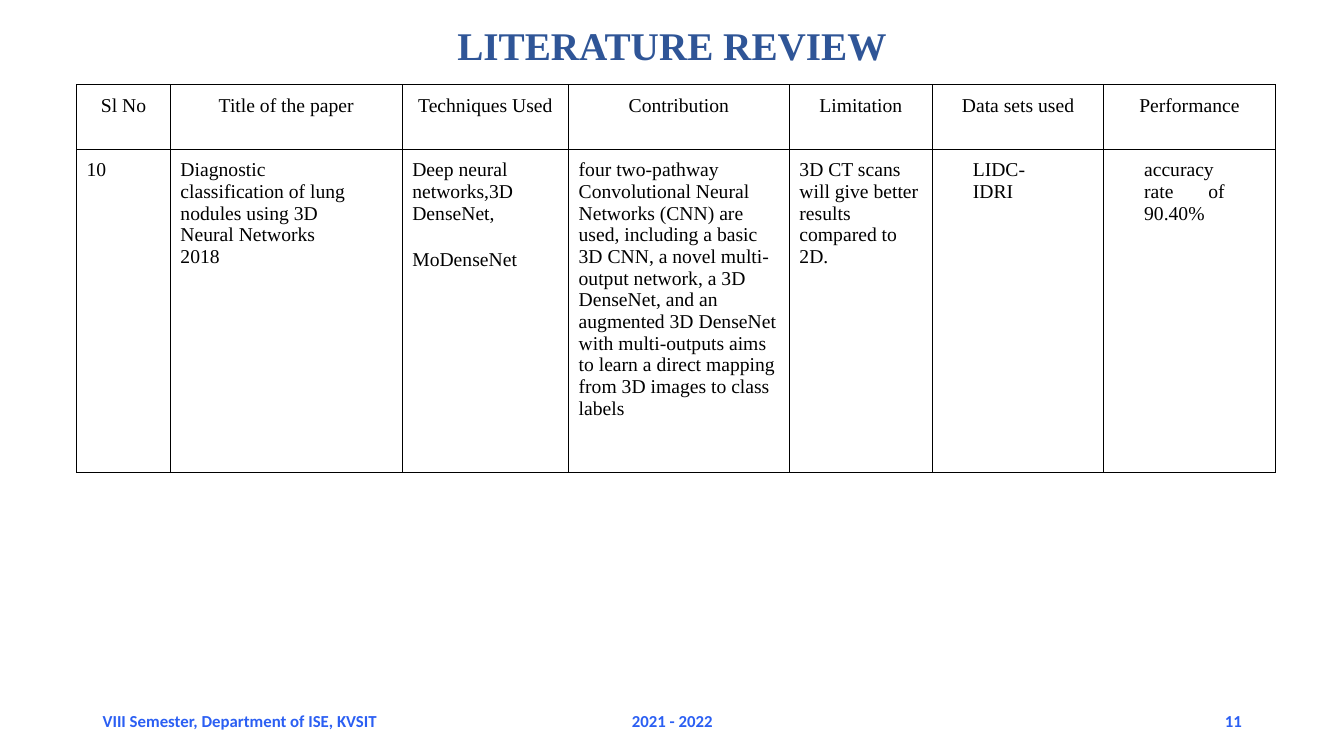
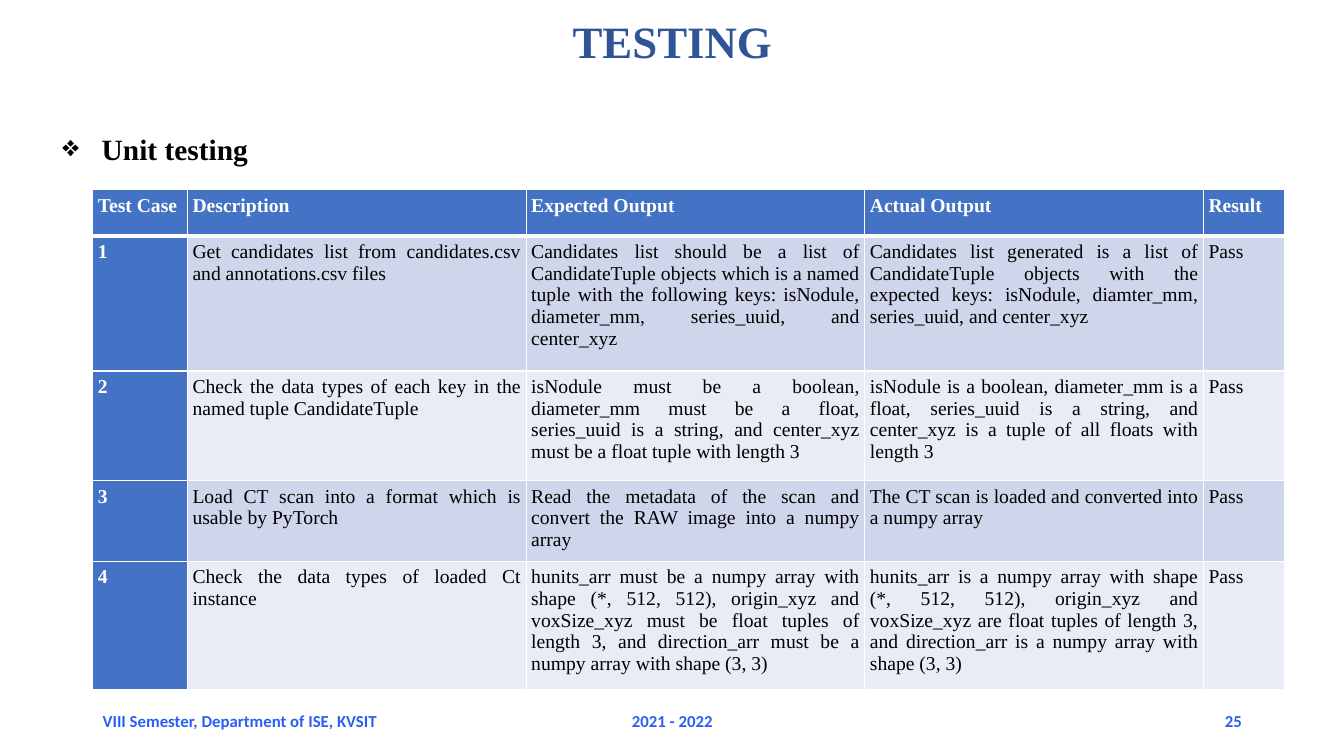
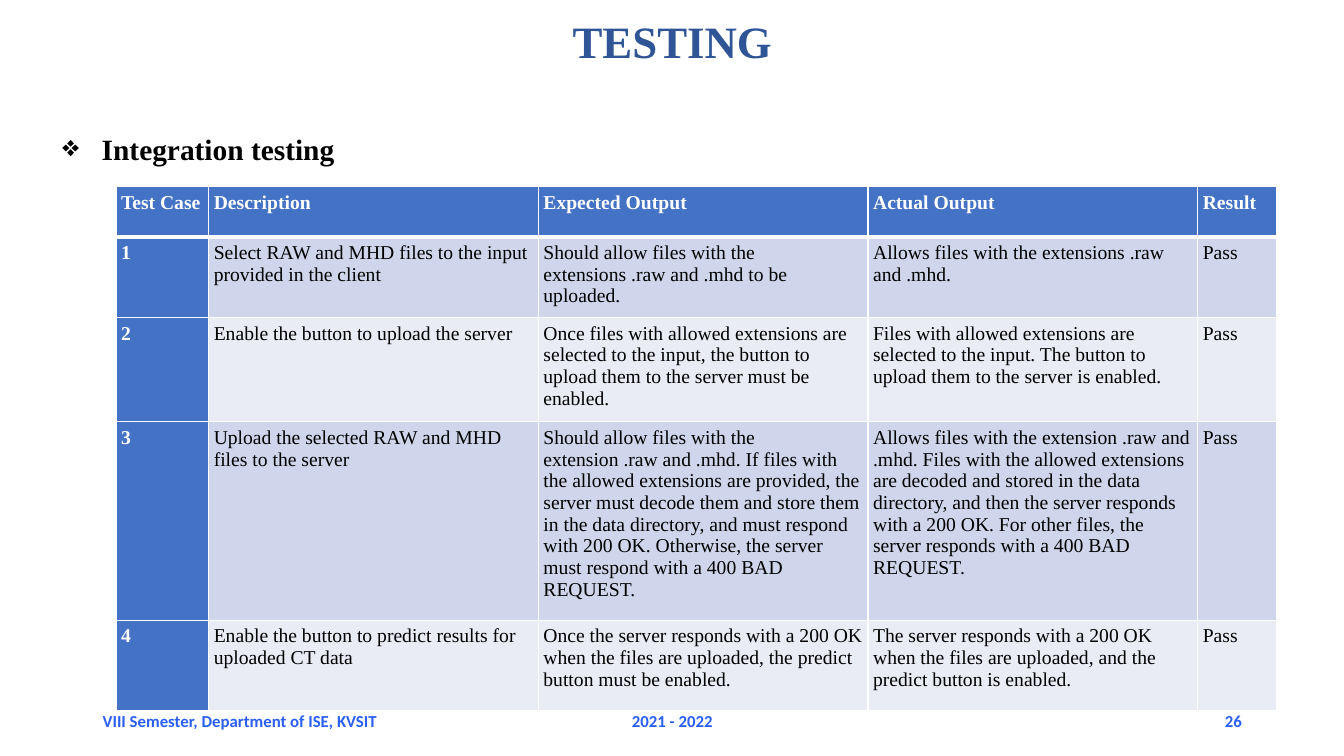
from lxml import etree
from pptx import Presentation
from pptx import util as u
from pptx.dml.color import RGBColor
from pptx.enum import text
from pptx.oxml import ns

SERIF, SANS = "Times New Roman", "Calibri"
TITLE, FOOTER, BLACK, WHITE = "2F5597", "2B5FF3", "000000", "FFFFFF"
HEADER, BANDS = "4472C4", ("CFD5EA", "E9EBF5")
LEFT, CENTER, RIGHT, JUSTIFY = (
    text.PP_ALIGN.LEFT, text.PP_ALIGN.CENTER, text.PP_ALIGN.RIGHT, text.PP_ALIGN.JUSTIFY)

presentation = Presentation()
presentation.slide_width, presentation.slide_height = u.Inches(13.33), u.Inches(7.5)
column = presentation.slide_width / 100  # one percent of the width
row = presentation.slide_height / 100  # one percent of the height


def format_paragraph(paragraph, size, color, bold=False, align=LEFT, font=SERIF):
    paragraph.alignment = align
    for run in paragraph.runs:
        run.font.name, run.font.size, run.font.bold = font, u.Pt(size), bold
        run.font.color.rgb = RGBColor.from_string(color)


def add_text(slide, words, left, top, width, height, *style):
    shape = slide.shapes.add_textbox(
        int(left * column), int(top * row), int(width * column), int(height * row))
    shape.text_frame.word_wrap = True
    shape.text_frame.text = words
    format_paragraph(shape.text_frame.paragraphs[0], *style)
    return shape.text_frame


# Contents: boxes, columns and rows are percentages of the slide
test_header = ["Test Case", "Description", "Expected Output", "Actual Output", "Result"]
test_title = dict(title="TESTING", title_size=32, title_box=(6.9, 2, 86.25, 10.13))
pages = [
    dict(
        title="LITERATURE REVIEW", title_size=28, title_box=(19.35, 2.93, 61.28, 16.67),
        number="11", heading=None, align=LEFT, corner=(5.7, 11.2),
        columns=[6.98, 17.25, 12.38, 16.43, 10.65, 12.75, 12.75], rows=[8.53, 42.8],
        cells=[
            ["Sl No", "Title of the paper", "Techniques Used", "Contribution", "Limitation",
             "Data sets used", "Performance"],
            ["10",
             "Diagnostic classification of lung nodules using 3D Neural Networks 2018",
             "Deep neural networks,3D DenseNet,\nMoDenseNet",
             "four two-pathway Convolutional Neural Networks (CNN) are used, including a "
             "basic 3D CNN, a novel multi-output network, a 3D DenseNet, and an augmented "
             "3D DenseNet with multi-outputs aims to learn a direct mapping from 3D images "
             "to class labels",
             "3D CT scans\nwill give better results\ncompared to 2D.",
             "LIDC-IDRI",
             "accuracy rate of 90.40%"],
        ]),
    dict(
        test_title, number="25", heading="Unit testing", align=JUSTIFY, corner=(6.9, 25.07),
        columns=[7.05, 25.2, 25.2, 25.2, 6], rows=[6.13, 17.87, 14.53, 10, 16.27],
        cells=[
            test_header,
            ["1", "Get candidates list from candidates.csv and annotations.csv files",
             "Candidates list should be a list of CandidateTuple objects which is a named "
             "tuple with the following keys: isNodule, diameter_mm, series_uuid, and center_xyz",
             "Candidates list generated is a list of CandidateTuple objects with the "
             "expected keys: isNodule, diamter_mm, series_uuid, and center_xyz", "Pass"],
            ["2", "Check the data types of each key in the named tuple CandidateTuple",
             "isNodule must be a boolean, diameter_mm must be a float, series_uuid is a "
             "string, and center_xyz must be a float tuple with length 3",
             "isNodule is a boolean, diameter_mm is a float, series_uuid is a string, and "
             "center_xyz is a tuple of all floats with length 3", "Pass"],
            ["3", "Load CT scan into a format which is usable by PyTorch",
             "Read the metadata of the scan and convert the RAW image into a numpy array",
             "The CT scan is loaded and converted into a numpy array", "Pass"],
            ["4", "Check the data types of loaded Ct instance",
             "hunits_arr must be a numpy array with shape (*, 512, 512), origin_xyz and "
             "voxSize_xyz must be float tuples of length 3, and direction_arr must be a "
             "numpy array with shape (3, 3)",
             "hunits_arr is a numpy array with shape (*, 512, 512), origin_xyz and "
             "voxSize_xyz are float tuples of length 3, and direction_arr is a numpy array "
             "with shape (3, 3)", "Pass"],
        ]),
    dict(
        test_title, number="26", heading="Integration testing", align=LEFT,
        corner=(8.63, 24.67),
        columns=[6.9, 24.53, 24.53, 24.53, 5.85], rows=[6.67, 10.13, 13.73, 24.4, 12],
        cells=[
            test_header,
            ["1", "Select RAW and MHD files to the input provided in the client",
             "Should allow files with the extensions .raw and .mhd to be uploaded.",
             "Allows files with the extensions .raw and .mhd.", "Pass"],
            ["2", "Enable the button to upload the server",
             "Once files with allowed extensions are selected to the input, the button to "
             "upload them to the server must be enabled.",
             "Files with allowed extensions are selected to the input. The button to upload "
             "them to the server is enabled.", "Pass"],
            ["3", "Upload the selected RAW and MHD files to the server",
             "Should allow files with the extension .raw and .mhd. If files with the allowed "
             "extensions are provided, the server must decode them and store them in the "
             "data directory, and must respond with 200 OK. Otherwise, the server must "
             "respond with a 400 BAD REQUEST.",
             "Allows files with the extension .raw and .mhd. Files with the allowed "
             "extensions are decoded and stored in the data directory, and then the server "
             "responds with a 200 OK. For other files, the server responds with a 400 BAD "
             "REQUEST.", "Pass"],
            ["4", "Enable the button to predict results for uploaded CT data",
             "Once the server responds with a 200 OK when the files are uploaded, the "
             "predict button must be enabled.",
             "The server responds with a 200 OK when the files are uploaded, and the predict "
             "button is enabled.", "Pass"],
        ]),
]

for page in pages:
    slide = presentation.slides.add_slide(presentation.slide_layouts[6])
    is_test = page["heading"] is not None

    # Title
    title = add_text(slide, page["title"], *page["title_box"],
                     page["title_size"], TITLE, True, CENTER)
    title.paragraphs[0].line_spacing = 0.9

    # Footer
    for words, left, width, align in (
            ("VIII Semester, Department of ISE, KVSIT", 6.9, 26.25, LEFT),
            ("2021 - 2022", 33.15, 33.75, CENTER),
            (page["number"], 70.65, 22.5, RIGHT)):
        footer = add_text(slide, words, left, 92.67, width, 5.33,
                          12, FOOTER, True, align, SANS)
        footer.vertical_anchor = text.MSO_ANCHOR.MIDDLE

    # Bulleted heading
    if is_test:
        heading = add_text(slide, page["heading"], 3.9, 14.4, 92.1, 75.47, 21, BLACK, True)
        paragraph = heading.paragraphs[0]
        paragraph.line_spacing, paragraph.space_before = 1.5, u.Pt(7.5)
        properties = paragraph._p.get_or_add_pPr()
        properties.set("marL", str(u.Inches(0.39)))
        properties.set("indent", str(-u.Inches(0.39)))
        etree.SubElement(properties, ns.qn("a:buChar")).set("char", "❖")

    # Table
    left, top = page["corner"]
    table = slide.shapes.add_table(
        len(page["rows"]), len(page["columns"]), int(left * column), int(top * row),
        int(sum(page["columns"]) * column), int(sum(page["rows"]) * row)).table
    table.first_row = table.horz_banding = False
    for index, width in enumerate(page["columns"]):
        table.columns[index].width = int(width * column)
    for index, height in enumerate(page["rows"]):
        table.rows[index].height = int(height * row)

    for r, line in enumerate(page["cells"]):
        for c, words in enumerate(line):
            cell = table.cell(r, c)
            cell.text_frame.text = words
            inset = u.Inches(0.05 if is_test else 0.1)
            cell.margin_left = cell.margin_right = inset
            cell.margin_top = cell.margin_bottom = inset

            # Borders, with a heavy rule under the header of a test table
            for side in "LRTB":
                heavy = is_test and (r, side) in ((0, "B"), (1, "T"))
                border = etree.SubElement(cell._tc.get_or_add_tcPr(), ns.qn("a:ln" + side))
                border.set("w", str(u.Pt(3 if heavy else 1)))
                fill = etree.SubElement(border, ns.qn("a:solidFill"))
                etree.SubElement(fill, ns.qn("a:srgbClr")).set(
                    "val", WHITE if is_test else BLACK)

            # Fill and text
            strong = is_test and (r == 0 or c == 0)
            align = page["align"]
            if is_test:
                cell.fill.solid()
                cell.fill.fore_color.rgb = RGBColor.from_string(
                    HEADER if strong else BANDS[(r - 1) % 2])
            else:
                cell.fill.background()
                if r == 0:
                    align = CENTER
                elif c >= 5:
                    align = JUSTIFY
                    cell.margin_left = u.Inches(0.4)
                if r == 1 and c in (1, 5, 6):
                    cell.margin_right = u.Inches(0.5)
            for paragraph in cell.text_frame.paragraphs:
                format_paragraph(paragraph, 14, WHITE if strong else BLACK, strong, align)
                if not is_test and r == 1 and c in (1, 2):
                    paragraph.space_before, paragraph.space_after = u.Pt(6), u.Pt(12)

presentation.save("out.pptx")
